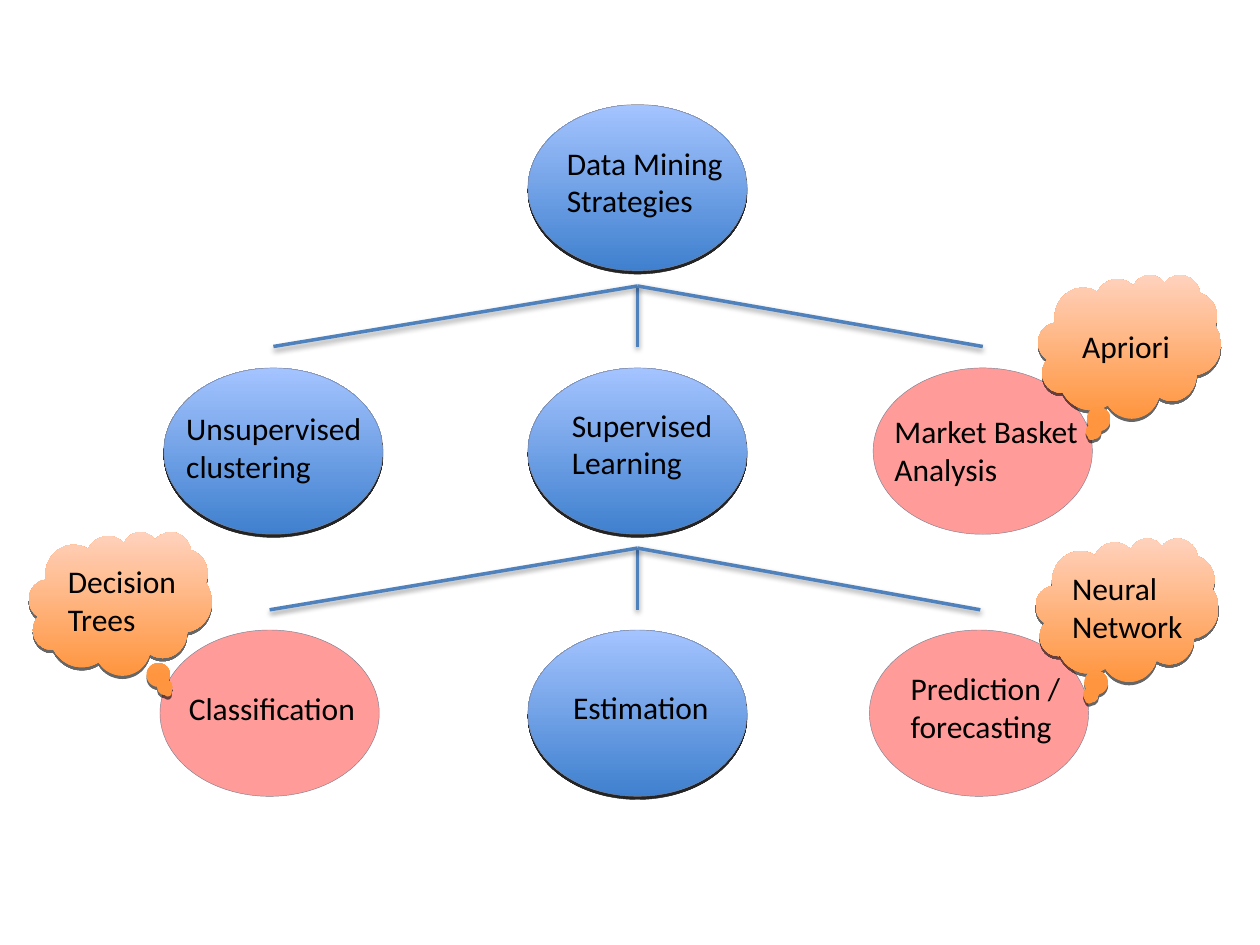
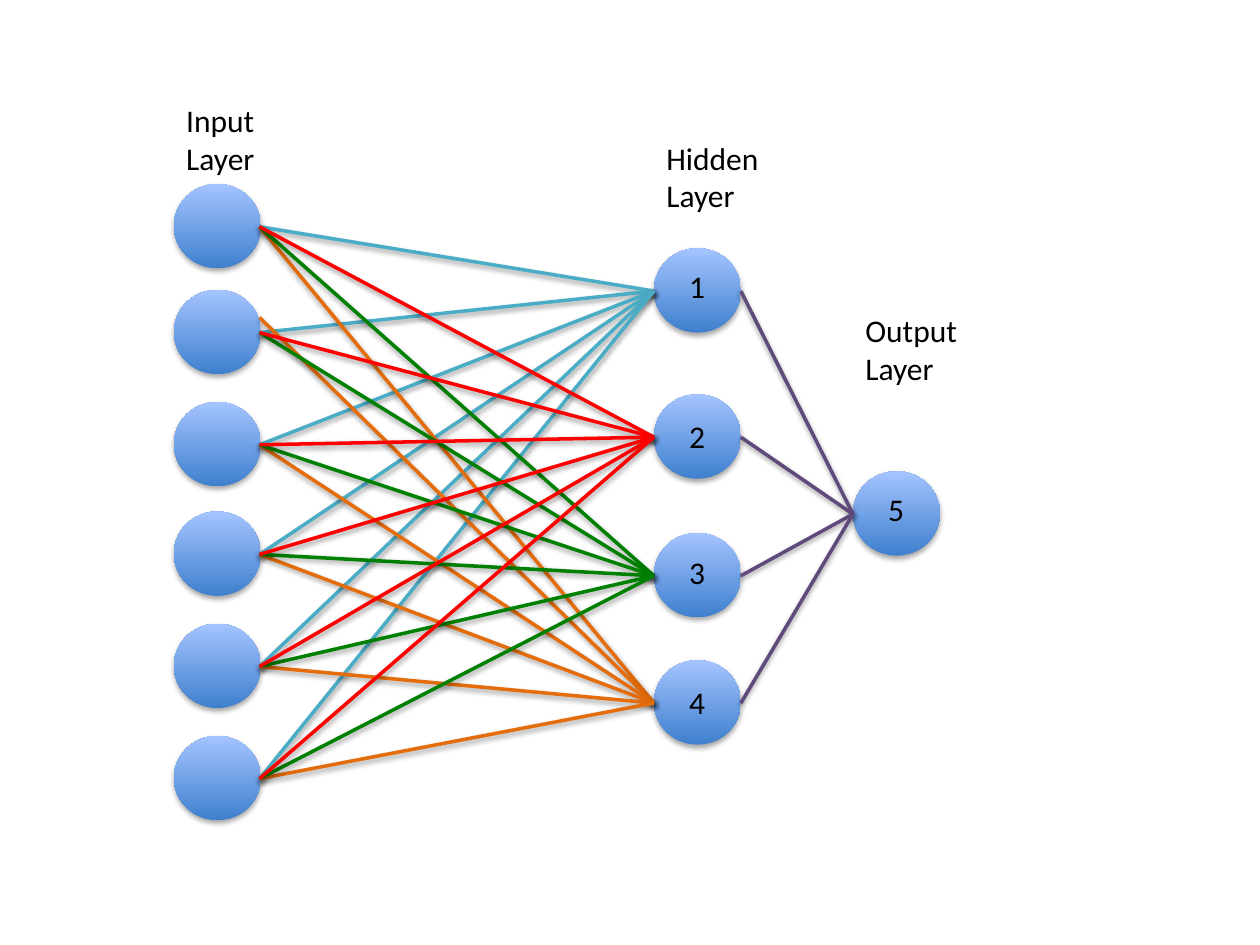
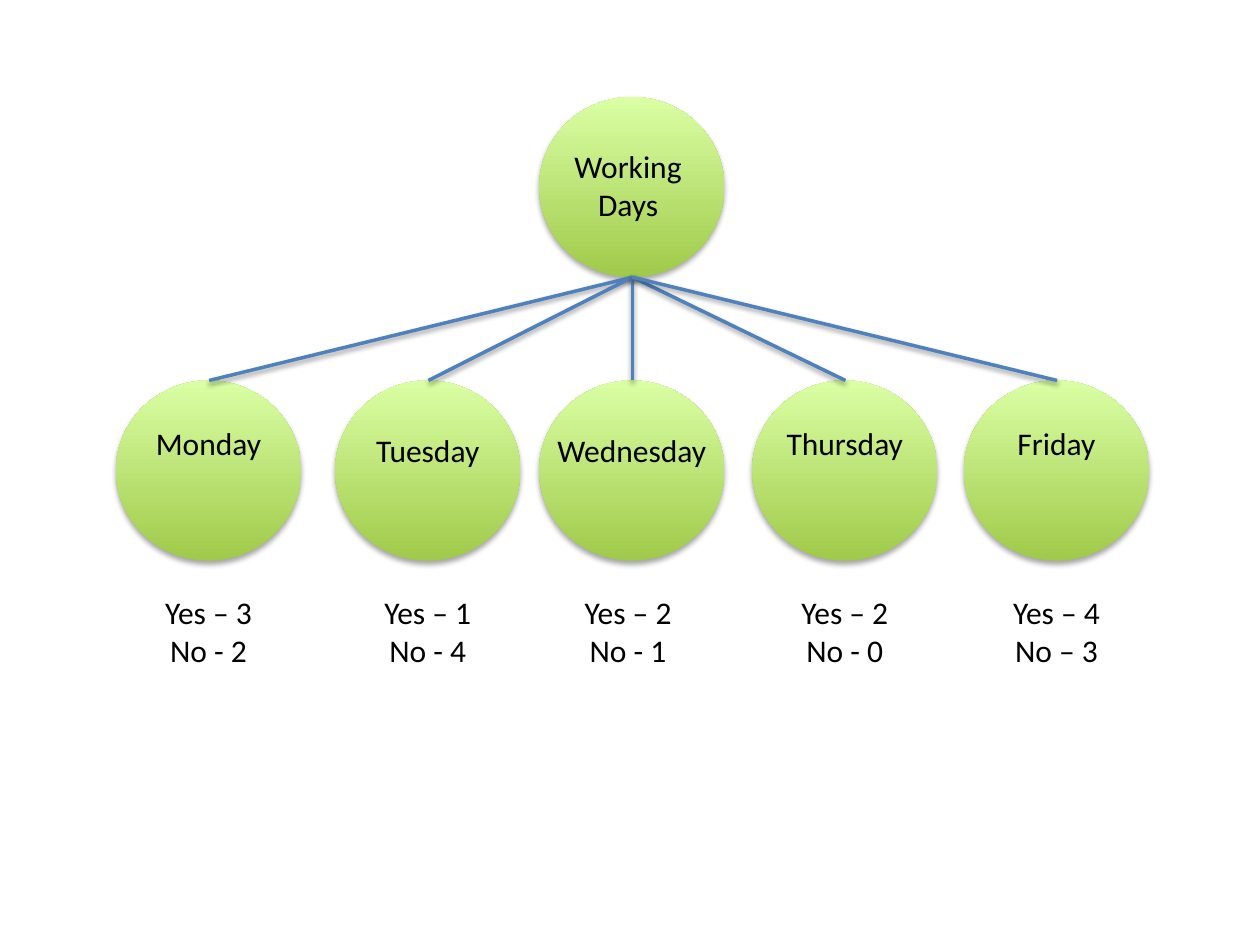
from dataclasses import dataclass

from lxml.etree import SubElement
from pptx import Presentation
from pptx.dml.color import RGBColor
from pptx.enum.shapes import MSO_CONNECTOR, MSO_SHAPE
from pptx.enum.text import MSO_AUTO_SIZE, PP_ALIGN
from pptx.oxml.ns import qn
from pptx.util import Emu, Pt

EMU_PER_PX = 9144  # 100 px to the inch


@dataclass(frozen=True)
class Theme:
    font: str = "Calibri"
    text_size: int = 18
    text: str = "000000"
    edge: str = "7F7F8F"
    edge_width: float = 0.25
    line_width: int = 2
    # Gradients run from the bottom colour to the top colour
    blue: tuple = ("3F80CE", "A4C4FF")
    orange: tuple = ("FF953E", "FFD2BD")
    green: tuple = ("A0CA4A", "DAFFA5")
    pink: str = "FF9C9A"
    branch: str = "4F81BD"
    hidden_links: tuple = ("4BACC6", "FF0000", "008000", "E46C0A")
    output_link: str = "604A7B"
    # Shadows are opacity in percent, blur and distance in points
    soft_shadow: tuple = (35, 3.1, 1.8)
    line_shadow: tuple = (38, 3.1, 1.6)
    oval_shadow: tuple = (85, 0, 1.8)
    cloud_shadow: tuple = (60, 0, 1.8)


def px(length):
    return Emu(length * EMU_PER_PX)


def write_text(frame, text, *, size, font, color, align=PP_ALIGN.LEFT):
    for index, line in enumerate(text.split("\n")):
        para = frame.paragraphs[0] if index == 0 else frame.add_paragraph()
        para.alignment = align
        span = para.add_run()
        span.text = line
        span.font.size = Pt(size)
        span.font.name = font
        span.font.color.rgb = RGBColor.from_string(color)


def add_shadow(item, shadow):
    """Give the item its own effect list, empty when there is no shadow."""
    effects = SubElement(item._element.spPr, qn("a:effectLst"))
    if shadow:
        opacity, blur, distance = shadow
        outer = SubElement(effects, qn("a:outerShdw"), blurRad=str(Pt(blur)),
                           dist=str(Pt(distance)), dir="5400000", rotWithShape="0")
        black = SubElement(outer, qn("a:srgbClr"), val="000000")
        SubElement(black, qn("a:alpha"), val=str(opacity * 1000))


class Painter:
    def __init__(self, theme):
        self.theme = theme
        self.deck = Presentation()
        self.deck.slide_width, self.deck.slide_height = px(1000), px(750)
        self.page = None

    def new_page(self):
        self.page = self.deck.slides.add_slide(self.deck.slide_layouts[6])

    def shape(self, kind, left, top, width, height, fill, shadow=None, edge=False):
        shape = self.page.shapes.add_shape(kind, px(left), px(top), px(width), px(height))
        if isinstance(fill, tuple):
            shape.fill.gradient()
            shape.fill.gradient_angle = 90
            for stop, color in zip(shape.fill.gradient_stops, fill):
                stop.color.rgb = RGBColor.from_string(color)
        else:
            shape.fill.solid()
            shape.fill.fore_color.rgb = RGBColor.from_string(fill)
        if edge:
            shape.line.color.rgb = RGBColor.from_string(self.theme.edge)
            shape.line.width = Pt(self.theme.edge_width)
        else:
            shape.line.fill.background()
        add_shadow(shape, shadow)
        return shape

    def oval(self, left, top, width, height, fill, **style):
        return self.shape(MSO_SHAPE.OVAL, left, top, width, height, fill, **style)

    def cloud(self, left, top, tail=None):
        cloud = self.shape(MSO_SHAPE.CLOUD_CALLOUT, left, top, 145, 114,
                           self.theme.orange, shadow=self.theme.cloud_shadow)
        if tail:
            cloud.adjustments[0], cloud.adjustments[1] = tail

    def text(self, text, left, top, width, align=PP_ALIGN.LEFT, lines=1):
        box = self.page.shapes.add_textbox(px(left), px(top), px(width),
                                           px(71 if lines == 2 else 40))
        box.text_frame.word_wrap = True
        box.text_frame.auto_size = MSO_AUTO_SIZE.SHAPE_TO_FIT_TEXT
        write_text(box.text_frame, text, size=self.theme.text_size,
                   font=self.theme.font, color=self.theme.text, align=align)

    def line(self, start, end, color):
        line = self.page.shapes.add_connector(
            MSO_CONNECTOR.STRAIGHT, *(px(value) for value in (*start, *end)))
        line.line.color.rgb = RGBColor.from_string(color)
        line.line.width = Pt(self.theme.line_width)
        add_shadow(line, self.theme.line_shadow)


def draw_strategies(painter):
    theme = painter.theme
    painter.new_page()

    # Strategy ovals: text, oval position, label position and width, highlighted
    strategies = [
        ("Data Mining Strategies", 419, 83, 440, 109, 174, False),
        ("Unsupervised\nclustering", 130, 292, 138, 320, 174, False),
        ("Supervised\nLearning", 419, 292, 444, 317, 174, False),
        ("Market Basket\nAnalysis", 693, 292, 700, 322, 174, True),
        ("Classification", 127, 500, 140, 542, 174, True),
        ("Estimation", 419, 500, 445, 541, 174, False),
        ("Prediction /\nforecasting", 690, 500, 713, 526, 193, True),
    ]
    for text, left, top, text_left, text_top, width, highlighted in strategies:
        painter.oval(left, top, 174, 132, theme.pink if highlighted else theme.blue,
                     shadow=None if highlighted else theme.oval_shadow, edge=True)
        painter.text(text, text_left, text_top, width, lines=2 if " S" in text or "\n" in text else 1)

    # Branches below the two parents
    for top, bottom, ends in [(227, 275, (506, 217, 780)), (435, 484, (506, 214, 778))]:
        for end in ends:
            painter.line((506, top), (end, bottom), theme.branch)

    # Technique clouds
    techniques = [
        ("Apriori", 824, 218, 849, 255, None),
        ("Neural\nNetwork", 822, 427, 841, 447, None),
        ("Decision\nTrees", 23, 422, 44, 441, (0.26, 0.62)),
    ]
    for text, left, top, text_left, text_top, tail in techniques:
        painter.cloud(left, top, tail)
        painter.text(text, text_left, text_top, 129, lines=text.count("\n") + 1)


def draw_network(painter):
    theme = painter.theme
    painter.new_page()
    width, height = 69, 67
    input_left, hidden_left, output_left = 138, 519, 677
    input_tops = [146, 230, 319, 406, 495, 584]
    hidden_tops = [197, 313, 423, 524]
    output_top = 374

    # Neurons
    for left, tops in [(input_left, input_tops), (hidden_left, hidden_tops),
                       (output_left, [output_top])]:
        for top in tops:
            painter.oval(left, top, width, height, theme.blue, shadow=theme.soft_shadow)

    # Layer names
    painter.text("Input Layer", input_left, 75, 86, lines=2)
    painter.text("Hidden Layer", hidden_left, 105, 103, lines=2)
    painter.text("Output Layer", output_left, 242, 103, lines=2)

    # Links, one colour for each hidden neuron
    def middle(top):
        return top + 33

    for hidden in (0, 3, 2, 1):
        target = (hidden_left, middle(hidden_tops[hidden]) + 1)
        for index, top in enumerate(input_tops):
            lift = 12 if (hidden, index) == (3, 1) else 0
            painter.line((input_left + 68, middle(top) + 1 - lift), target,
                         theme.hidden_links[hidden])
    for top in hidden_tops:
        painter.line((hidden_left + width, middle(top) + 1),
                     (output_left, middle(output_top) + 1), theme.output_link)

    # Neuron numbers
    for number, top in enumerate([207, 326, 434, 537], start=1):
        painter.text(str(number), hidden_left + 18, top, 51)
    painter.text("5", output_left + 18, 384, 51)


def draw_working_days(painter):
    theme = painter.theme
    painter.new_page()
    width, height = 147, 143
    root_left, root_top, day_top = 428, 77, 302

    # Root
    painter.oval(root_left, root_top, width, height, theme.green, shadow=theme.soft_shadow)
    painter.text("Working Days", 425, 112, width, PP_ALIGN.CENTER, lines=2)

    # Days: name, left, name top, counts, counts left
    days = [
        ("Monday", 92, 332, "Yes – 3\nNo - 2", 92),
        ("Tuesday", 266, 337, "Yes – 1\nNo - 4", 266),
        ("Wednesday", 428, 337, "Yes – 2\nNo - 1", 425),
        ("Thursday", 597, 332, "Yes – 2\nNo - 0", 597),
        ("Friday", 765, 332, "Yes – 4\nNo – 3", 765),
    ]
    for name, left, name_top, counts, counts_left in days:
        painter.oval(left, day_top, width, height, theme.green, shadow=theme.soft_shadow)
        painter.line((502, root_top + height), (left + width // 2 + 1, day_top), theme.branch)
        painter.text(name, left, name_top, width, PP_ALIGN.CENTER)
        painter.text(counts, counts_left, 466, width, PP_ALIGN.CENTER, lines=2)


def main():
    painter = Painter(Theme())
    draw_strategies(painter)
    draw_network(painter)
    draw_working_days(painter)
    painter.deck.save("out.pptx")


if __name__ == "__main__":
    main()
